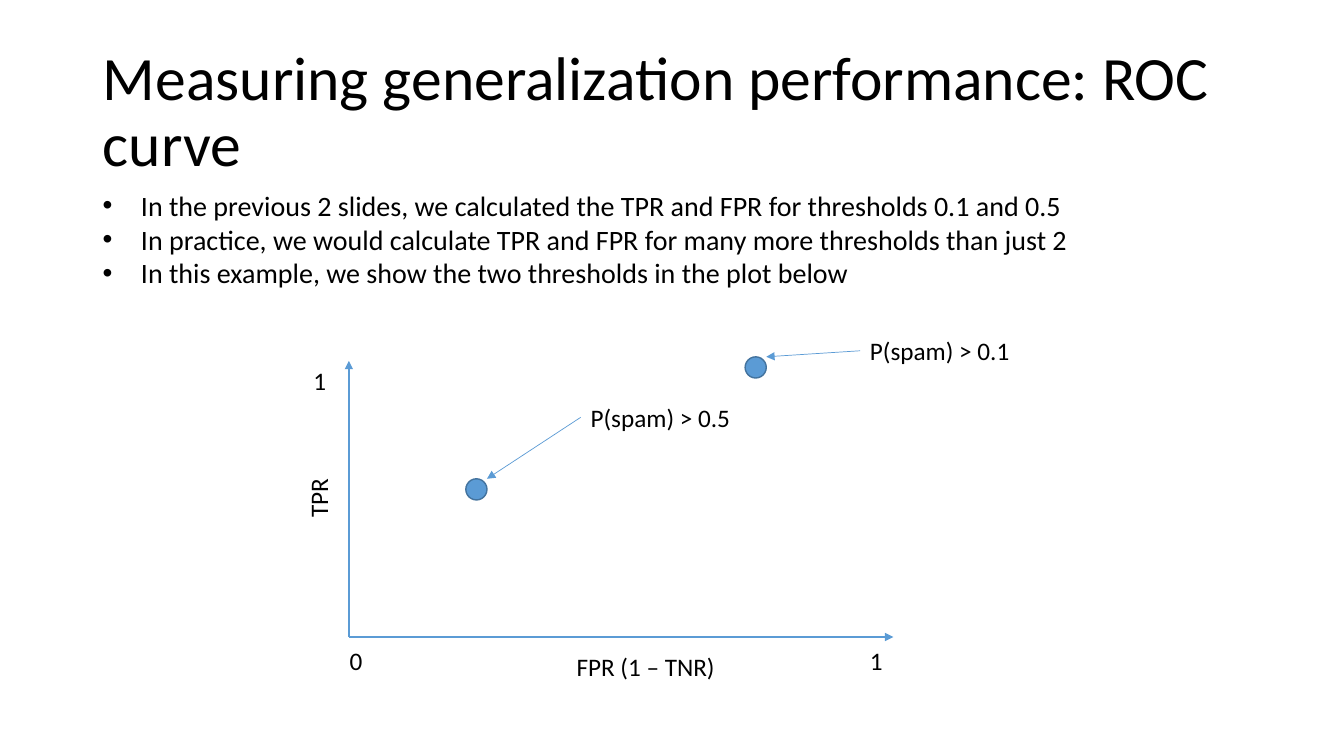
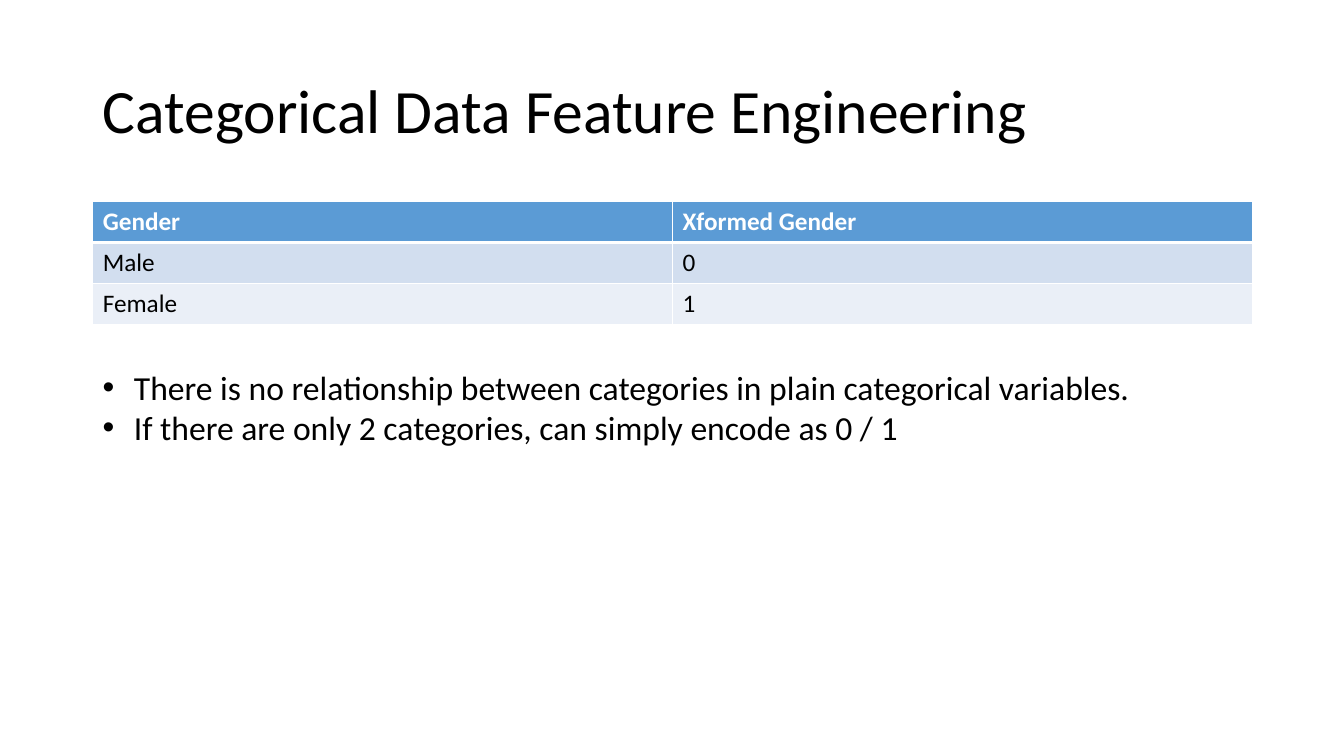
from lxml import etree
from pptx import Presentation
from pptx.dml.color import RGBColor
from pptx.enum.shapes import MSO_CONNECTOR, MSO_SHAPE
from pptx.enum.text import MSO_ANCHOR, MSO_AUTO_SIZE, PP_ALIGN
from pptx.oxml.ns import qn
from pptx.util import Emu, Pt

STRAIGHT = MSO_CONNECTOR.STRAIGHT
OVAL = MSO_SHAPE.OVAL
MIDDLE = MSO_ANCHOR.MIDDLE
NO_FIT = MSO_AUTO_SIZE.NONE
GROW = MSO_AUTO_SIZE.SHAPE_TO_FIT_TEXT
LEFT = PP_ALIGN.LEFT
LEFT_SIDE = 1

PX = 9144  # 100 px to the inch
FONT = "Calibri"
COLORS = {
    "text": "000000",
    "white": "FFFFFF",
    "accent": "5B9BD5",
    "dot_line": "43739E",
    "band_dark": "D2DEEF",
    "band_light": "EAEFF7",
}
MARGIN, CONTENT_WIDTH = 92, 1150
TITLE_BOX = (MARGIN, 40, CONTENT_WIDTH, 145)


def px(*lengths):
    return [Emu(length * PX) for length in lengths]


def rgb(name):
    return RGBColor.from_string(COLORS[name])


def add_run(paragraph, text, size, color="text", bold=False):
    run = paragraph.add_run()
    run.text = text
    run.font.name = FONT
    run.font.size = Pt(size)
    run.font.bold = bold
    run.font.color.rgb = rgb(color)


def add_titled_slide(presentation, text):
    slide = presentation.slides.add_slide(presentation.slide_layouts[5])
    title = slide.shapes.title
    title.left, title.top, title.width, title.height = px(*TITLE_BOX)
    frame = title.text_frame
    frame.auto_size = NO_FIT
    frame.vertical_anchor = MIDDLE
    paragraph = frame.paragraphs[0]
    paragraph.alignment = LEFT
    paragraph.line_spacing = 0.9
    add_run(paragraph, text, 44)
    return slide


def add_text_box(slide, box, wrap=False):
    shape = slide.shapes.add_textbox(*px(*box))
    shape.text_frame.word_wrap = wrap
    shape.text_frame.auto_size = GROW
    return shape


def add_label(slide, text, box, rotation=0):
    shape = add_text_box(slide, box)
    shape.rotation = rotation
    add_run(shape.text_frame.paragraphs[0], text, 18)
    return shape


def add_bullets(slide, box, lines, size, indent):
    frame = add_text_box(slide, box, wrap=True).text_frame
    for index, line in enumerate(lines):
        paragraph = frame.add_paragraph() if index else frame.paragraphs[0]
        properties = paragraph._p.get_or_add_pPr()
        properties.set("marL", str(indent * PX))
        properties.set("indent", str(-indent * PX))
        etree.SubElement(properties, qn("a:buFont")).set("typeface", "Arial")
        etree.SubElement(properties, qn("a:buChar")).set("char", "•")
        add_run(paragraph, line, size)


def add_arrow(slide, start, end, width):
    arrow = slide.shapes.add_connector(STRAIGHT, *px(*start, *end))
    arrow.line.color.rgb = rgb("accent")
    arrow.line.width = Pt(width)
    etree.SubElement(arrow.line._get_or_add_ln(), qn("a:tailEnd")).set("type", "triangle")
    etree.SubElement(arrow._element.spPr, qn("a:effectLst"))
    return arrow


def add_threshold(slide, text, dot_at, label_at):
    """A dot with a label and an arrow from the label to the dot."""
    diameter = 21
    dot = slide.shapes.add_shape(OVAL, *px(*dot_at, diameter, diameter))
    dot.shadow.inherit = False
    dot.fill.solid()
    dot.fill.fore_color.rgb = rgb("accent")
    dot.line.color.rgb = rgb("dot_line")
    dot.line.width = Pt(1)
    label = add_label(slide, text, (*label_at, 160, 40))
    arrow = add_arrow(slide, label_at, (dot_at[0] + diameter, dot_at[1]), 0.5)
    arrow.begin_connect(label, LEFT_SIDE)


def add_roc_plot(slide, box):
    left, top, width, height = box
    right, bottom = left + width, top + height

    # Axes
    for end in ((right, bottom), (left, top)):
        add_arrow(slide, (left, bottom), end, 1.5)

    # Axis names and end values
    add_label(slide, "FPR (1 – TNR)", (left + 216, bottom + 9, 159, 40))
    add_label(slide, "TPR", (left - 60, top + 116, 59, 40), rotation=270)
    add_label(slide, "0", (left - 9, bottom + 3, 33, 40))
    add_label(slide, "1", (right - 33, bottom + 3, 33, 40))
    add_label(slide, "1", (left - 45, top, 33, 40))

    # Thresholds
    for text, dot, label in (
        ("P(spam) > 0.5", (116, 117), (230, 36)),
        ("P(spam) > 0.1", (393, -4), (507, -30)),
    ):
        add_threshold(
            slide, text,
            (left + dot[0], top + dot[1]),
            (left + label[0], top + label[1]),
        )


def add_cell_borders(cell, widths):
    properties = cell._tc.get_or_add_tcPr()
    for side, width in zip("LRTB", widths):
        line = etree.SubElement(properties, qn(f"a:ln{side}"), w=str(Pt(width)))
        fill = etree.SubElement(line, qn("a:solidFill"))
        etree.SubElement(fill, qn("a:srgbClr")).set("val", COLORS["white"])


def add_data_table(slide, box, rows):
    shape = slide.shapes.add_table(len(rows), len(rows[0]), *px(*box))
    fills = ("accent", "band_dark", "band_light")
    for row_index, row in enumerate(rows):
        header = row_index == 0
        for column_index, text in enumerate(row):
            cell = shape.table.cell(row_index, column_index)
            top_width = 3 if row_index == 1 else 1
            add_cell_borders(cell, (1, 1, top_width, 3 if header else 1))
            cell.fill.solid()
            cell.fill.fore_color.rgb = rgb(fills[row_index])
            add_run(cell.text_frame.paragraphs[0], text, 18,
                    "white" if header else "text", bold=header)


def build_roc_slide(presentation):
    slide = add_titled_slide(
        presentation, "Measuring generalization performance: ROC curve")
    add_bullets(slide, (MARGIN, 182, 979, 111), (
        "In the previous 2 slides, we calculated the TPR and FPR for thresholds 0.1 and 0.5",
        "In practice, we would calculate TPR and FPR for many more thresholds than just 2",
        "In this example, we show the two thresholds in the plot below",
    ), size=20, indent=38)
    add_roc_plot(slide, (346, 358, 540, 274))


def build_categorical_slide(presentation):
    slide = add_titled_slide(presentation, "Categorical Data Feature Engineering")
    add_data_table(slide, (MARGIN, 200, CONTENT_WIDTH, 122), (
        ("Gender", "Xformed Gender"),
        ("Male", "0"),
        ("Female", "1"),
    ))
    add_bullets(slide, (MARGIN, 359, CONTENT_WIDTH, 91), (
        "There is no relationship between categories in plain categorical variables.",
        "If there are only 2 categories, can simply encode as 0 / 1",
    ), size=24, indent=31)


def main():
    presentation = Presentation()
    presentation.slide_width, presentation.slide_height = px(1333, 750)
    build_roc_slide(presentation)
    build_categorical_slide(presentation)
    presentation.save("out.pptx")


if __name__ == "__main__":
    main()
